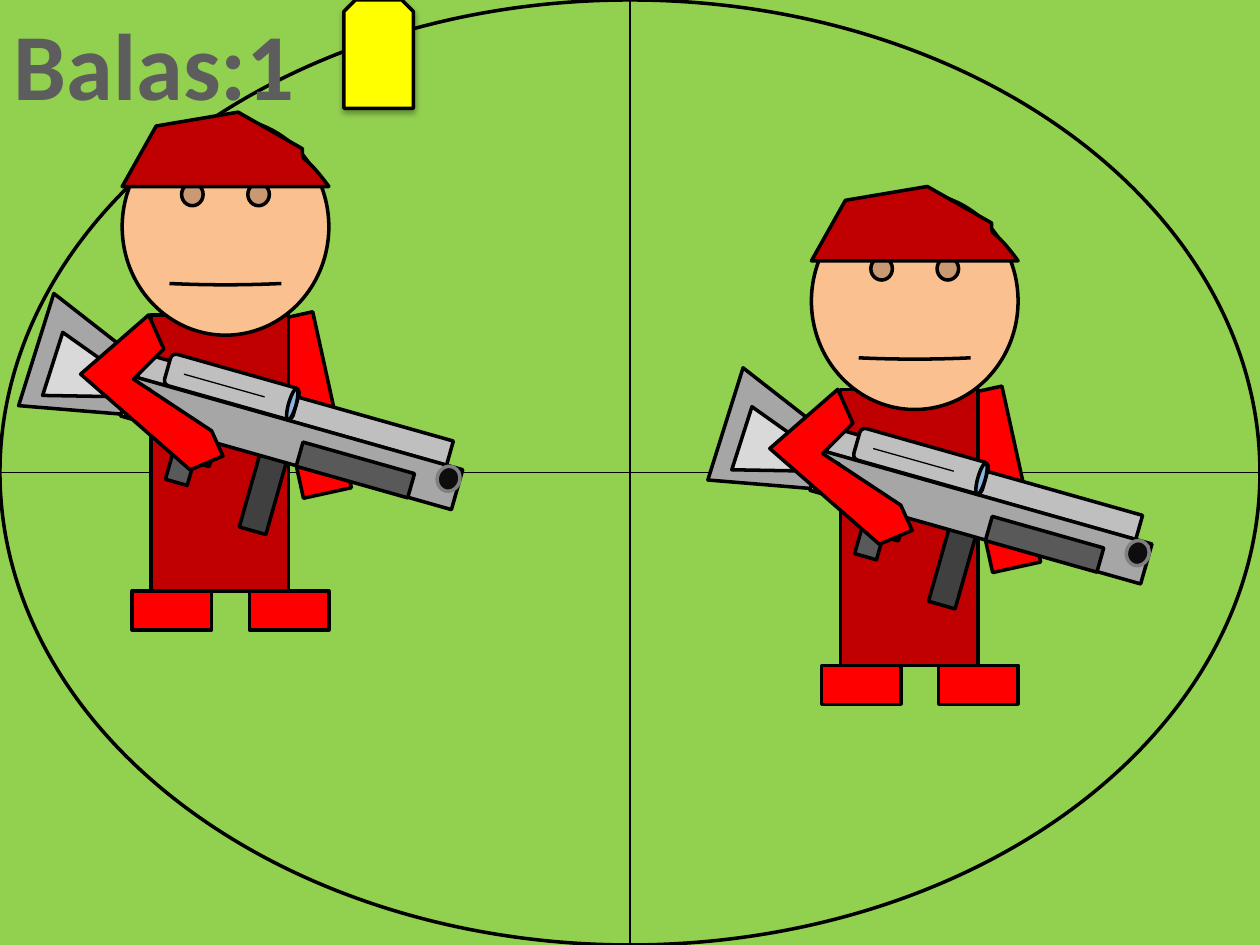
from dataclasses import dataclass
from math import cos, radians, sin

from lxml.etree import SubElement
from pptx import Presentation
from pptx.dml.color import RGBColor
from pptx.enum.shapes import MSO_CONNECTOR, MSO_SHAPE
from pptx.enum.text import MSO_AUTO_SIZE, PP_ALIGN
from pptx.oxml.ns import qn
from pptx.util import Cm, Pt


@dataclass(frozen=True)
class Theme:
    """Colours, type and line widths of the slide."""
    grass: str = "92D050"
    ink: str = "000000"
    label: str = "5D5D5D"
    bullet: str = "FFFF00"
    red: str = "FF0000"
    uniform: str = "C00000"
    skin: str = "FAC090"
    metal: str = "A6A6A6"
    barrel: str = "BFBFBF"
    inlay: str = "D9D9D9"
    grip: str = "595959"
    magazine: str = "404040"
    lens: str = "8EB4E3"
    muzzle: str = "0D0D0D"
    rim: str = "808080"
    font: str = "Calibri"
    label_size: float = 54
    bold_line: float = 2
    thin_line: float = 0.75


@dataclass(frozen=True)
class Part:
    """A preset shape: box is left, top, width, height."""
    preset: MSO_SHAPE
    box: tuple[float, float, float, float]
    fill: str | None = None
    turn: float = 0
    line: str = "000000"
    adjust: float | None = None


@dataclass(frozen=True)
class Outline:
    """A polygon whose corners are given as seen, after turning about its centre."""
    corners: tuple[tuple[float, float], ...]
    fill: str
    centre: tuple[float, float] = (0, 0)
    turn: float = 0
    curve_at: int | None = None


@dataclass(frozen=True)
class Stroke:
    """A thin straight line."""
    start: tuple[float, float]
    end: tuple[float, float]


THEME = Theme()
TILT = 15.8
RECT, OVAL = MSO_SHAPE.RECTANGLE, MSO_SHAPE.OVAL

SOLDIER = (
    Part(RECT, (2.25, 2.5, 0.39, 1.43), THEME.red, 347.6),
    Part(RECT, (1.2, 2.5, 1.09, 2.19), THEME.uniform),
    Part(MSO_SHAPE.SMILEY_FACE, (0.97, 0.94, 1.64, 1.72), THEME.skin, adjust=0.003),
    Outline(((0.43, 2.33), (0.15, 3.22), (1, 3.29), (1.16, 2.9)),
            THEME.metal, (0.7, 2.9), TILT),
    Outline(((0.5, 2.64), (0.34, 3.14), (0.89, 3.15), (0.98, 2.98)),
            THEME.inlay, (0.68, 2.97), TILT),
    Part(RECT, (2.02, 3.31, 0.22, 0.92), THEME.magazine, TILT),
    Part(RECT, (1.39, 3.25, 0.18, 0.59), THEME.grip, TILT),
    Part(RECT, (1.07, 3.15, 2.55, 0.2), THEME.barrel, TILT),
    Part(RECT, (0.95, 3.35, 2.73, 0.33), THEME.metal, TILT),
    Part(RECT, (1.56, 3.49, 0.13, 0.2), None, TILT),
    Part(MSO_SHAPE.ROUNDED_RECTANGLE, (1.31, 2.94, 1.06, 0.26), THEME.barrel, TILT),
    Part(OVAL, (2.29, 3.08, 0.06, 0.26), THEME.lens, TILT),
    Part(OVAL, (3.47, 3.7, 0.18, 0.2), THEME.muzzle, TILT, THEME.rim),
    Stroke((1.46, 2.97), (2.1, 3.15)),
    Part(RECT, (2.36, 3.63, 0.92, 0.2), THEME.grip, TILT),
    Part(RECT, (1.03, 3.07, 0.13, 0.26), THEME.grip, TILT),
    Outline(((0.97, 1.48), (2.61, 1.48), (2.4, 1.19), (2.4, 1.31), (2.4, 1.18),
             (1.89, 0.89), (1.24, 1)), THEME.uniform, curve_at=1),
    Part(RECT, (1.05, 4.69, 0.63, 0.31), THEME.red),
    Part(RECT, (1.98, 4.69, 0.63, 0.31), THEME.red),
    Outline(((1.18, 2.5), (0.64, 2.97), (1.51, 3.73), (1.77, 3.62), (1.68, 3.42),
             (1.06, 3.01), (1.3, 2.77)), THEME.red),
)


def length(inches: float) -> Cm:
    """Turn the layout's inch grid into a Cm length."""
    return Cm(inches * 2.54)


def paint(shape, fill: str | None, line: str) -> None:
    """Set fill and line and drop the shadow."""
    shape.shadow.inherit = False
    if fill:
        shape.fill.solid()
        shape.fill.fore_color.rgb = RGBColor.from_string(fill)
    else:
        shape.fill.background()
    shape.line.color.rgb = RGBColor.from_string(line)
    shape.line.width = Pt(THEME.bold_line)


def draw_part(shapes, part: Part, dx: float = 0, dy: float = 0):
    """Draw a preset shape, moved by dx and dy."""
    left, top, width, height = part.box
    shape = shapes.add_shape(
        part.preset, *map(length, (left + dx, top + dy, width, height)))
    shape.rotation = part.turn
    if part.adjust is not None:
        shape.adjustments[0] = part.adjust
    paint(shape, part.fill, part.line)
    return shape


def draw_outline(shapes, outline: Outline, dx: float = 0, dy: float = 0) -> None:
    """Draw a polygon, turning its corners back before rotating the shape."""
    cx, cy = outline.centre
    c, s = cos(radians(outline.turn)), sin(radians(outline.turn))
    points = [(length(cx + (x - cx) * c + (y - cy) * s + dx),
               length(cy - (x - cx) * s + (y - cy) * c + dy))
              for x, y in outline.corners]
    builder = shapes.build_freeform(*points[0])
    builder.add_line_segments(points[1:], close=True)
    shape = builder.convert_to_shape()
    shape.rotation = outline.turn
    paint(shape, outline.fill, THEME.ink)
    if outline.curve_at is not None:
        bend_edge(shape, outline.curve_at)


def bend_edge(shape, first: int) -> None:
    """Merge three straight segments into one Bezier curve."""
    segments = list(shape.element.iter(qn("a:lnTo")))[first:first + 3]
    curve = segments[0]
    curve.tag = qn("a:cubicBezTo")
    for segment in segments[1:]:
        curve.append(segment[0])
        segment.getparent().remove(segment)


def draw_stroke(shapes, stroke: Stroke, dx: float = 0, dy: float = 0) -> None:
    """Draw a thin line without a shadow."""
    (x1, y1), (x2, y2) = stroke.start, stroke.end
    connector = shapes.add_connector(
        MSO_CONNECTOR.STRAIGHT, *map(length, (x1 + dx, y1 + dy, x2 + dx, y2 + dy)))
    connector.line.color.rgb = RGBColor.from_string(THEME.ink)
    connector.line.width = Pt(THEME.thin_line)
    SubElement(connector.element.spPr, qn("a:effectLst"))


def draw_soldier(shapes, dx: float, dy: float) -> None:
    """Draw one grouped soldier, moved by dx and dy."""
    painters = {Part: draw_part, Outline: draw_outline, Stroke: draw_stroke}
    soldier = shapes.add_group_shape()
    for piece in SOLDIER:
        painters[type(piece)](soldier.shapes, piece, dx, dy)


def add_shadow(shape) -> None:
    """Give a shape a soft shadow below it."""
    effects = shape.element.spPr.find(qn("a:effectLst"))
    shadow = SubElement(effects, qn("a:outerShdw"), blurRad=str(Pt(3.5)),
                        dist=str(Pt(2.2)), dir="5400000", rotWithShape="0")
    colour = SubElement(shadow, qn("a:srgbClr"), val=THEME.ink)
    SubElement(colour, qn("a:alpha"), val="32000")


def add_label(shapes, text: str, *, box: tuple[float, float, float, float],
              size: float, color: str, bold: bool) -> None:
    """Add a centred one-line label."""
    label = shapes.add_textbox(*map(length, box))
    label.text_frame.word_wrap = False
    label.text_frame.auto_size = MSO_AUTO_SIZE.SHAPE_TO_FIT_TEXT
    paragraph = label.text_frame.paragraphs[0]
    paragraph.alignment = PP_ALIGN.CENTER
    run = paragraph.add_run()
    run.text = text
    run.font.name, run.font.size, run.font.bold = THEME.font, Pt(size), bold
    run.font.color.rgb = RGBColor.from_string(color)


def main() -> None:
    """Build and save the slide."""
    deck = Presentation()
    deck.slide_width, deck.slide_height = length(10), length(7.5)
    slide = deck.slides.add_slide(deck.slide_layouts[6])
    slide.background.fill.solid()
    slide.background.fill.fore_color.rgb = RGBColor.from_string(THEME.grass)
    shapes = slide.shapes
    draw_part(shapes, Part(OVAL, (0, 0, 10, 7.5)))
    draw_stroke(shapes, Stroke((5, 0), (5, 7.5)))
    draw_stroke(shapes, Stroke((10, 3.75), (0, 3.75)))
    add_label(shapes, "Balas:1", box=(0, 0, 2.45, 1.01),
              size=THEME.label_size, color=THEME.label, bold=True)
    bullet = Part(MSO_SHAPE.SNIP_2_SAME_RECTANGLE, (2.73, 0, 0.55, 0.86), THEME.bullet)
    add_shadow(draw_part(shapes, bullet))
    for dx, dy in ((0, 0), (5.47, 0.59)):
        draw_soldier(shapes, dx, dy)
    deck.save("out.pptx")


main()
